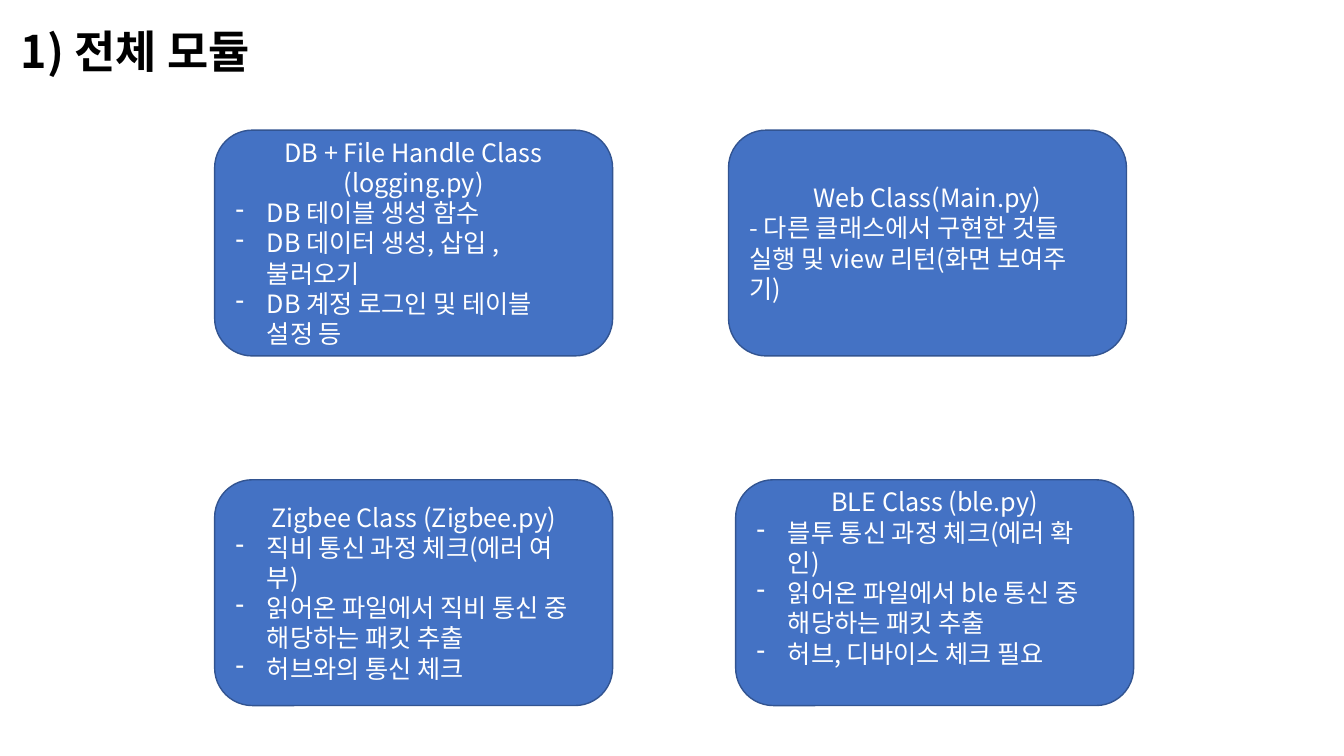
import dataclasses

import pptx
import pptx.dml.color
import pptx.enum.shapes
import pptx.enum.text
import pptx.oxml.ns
import pptx.util
from lxml import etree

Cm, Pt = pptx.util.Cm, pptx.util.Pt
RGB = pptx.dml.color.RGBColor
ALIGN = pptx.enum.text.PP_ALIGN
ANCHOR = pptx.enum.text.MSO_ANCHOR
qn = pptx.oxml.ns.qn


@dataclasses.dataclass(frozen=True)
class Theme:
    font: str = "Noto Sans CJK KR"
    fill: RGB = RGB(0x44, 0x72, 0xC4)
    line: RGB = RGB(0x32, 0x54, 0x91)
    light: RGB = RGB(0xFF, 0xFF, 0xFF)
    dark: RGB = RGB(0, 0, 0)
    title_size: float = 32
    body_size: float = 18
    leading: float = 1.2


@dataclasses.dataclass(frozen=True)
class Module:
    left: float
    top: float
    heading: list[str]
    items: list[str]
    bulleted: bool = True
    raise_by: float = 0  # extra bottom inset, cm


THEME = Theme()
BOX_W, BOX_H = 10.03, 5.69
LEFT, TOP, BOTTOM = 5.41, 3.28, 12.09
INSET, SIDE_GAP, HANG = 0.25, 0.25, 0.79

MODULES = [
    Module(LEFT, TOP, ["DB + File Handle Class", "(logging.py)"],
           ["DB 테이블 생성 함수", "DB 데이터 생성, 삽입 , 불러오기",
            "DB 계정 로그인 및 테이블 설정 등"]),
    Module(LEFT, BOTTOM, ["Zigbee Class (Zigbee.py)"],
           ["직비 통신 과정 체크(에러 여부)",
            "읽어온 파일에서 직비 통신 중 해당하는 패킷 추출",
            "허브와의 통신 체크"]),
    Module(18.54, BOTTOM, ["BLE Class (ble.py)"],
           ["블투 통신 과정 체크(에러 확인)",
            "읽어온 파일에서 ble 통신 중 해당하는 패킷 추출",
            "허브, 디바이스 체크 필요"], raise_by=0.76),
    Module(18.36, TOP, ["Web Class(Main.py)"],
           ["- 다른 클래스에서 구현한 것들 실행 및 view 리턴(화면 보여주기)"],
           bulleted=False),
]


def add_line(tf, index: int, text: str, size: float, color: RGB,
             align=ALIGN.LEFT, bold: bool = False):
    """Write one paragraph with a single run."""
    p = tf.paragraphs[0] if index == 0 else tf.add_paragraph()
    p.alignment = align
    p.line_spacing = Pt(size * THEME.leading)
    r = p.add_run()
    r.text = text
    r.font.size, r.font.bold, r.font.name = Pt(size), bold, THEME.font
    r.font.color.rgb = color
    etree.SubElement(r.font._element, qn("a:ea")).set("typeface", THEME.font)
    return p


def set_indent(p, left: float, bullet: str = "") -> None:
    pPr = p._p.get_or_add_pPr()
    pPr.set("marL", str(Cm(left)))
    if bullet:
        pPr.set("indent", str(-Cm(left)))
        etree.SubElement(pPr, qn("a:buChar")).set("char", bullet)


def add_module(s, m: Module) -> None:
    sp = s.shapes.add_shape(pptx.enum.shapes.MSO_SHAPE.ROUNDED_RECTANGLE,
                            Cm(m.left), Cm(m.top), Cm(BOX_W), Cm(BOX_H))
    sp.shadow.inherit = False
    sp.fill.solid()
    sp.fill.fore_color.rgb = THEME.fill
    sp.line.color.rgb = THEME.line
    sp.line.width = Pt(1)
    tf = sp.text_frame
    tf.word_wrap = True
    tf.vertical_anchor = ANCHOR.MIDDLE
    tf.margin_right = Cm(INSET + SIDE_GAP)
    tf.margin_bottom = Cm(0.13 + m.raise_by)
    for i, text in enumerate(m.heading):
        p = add_line(tf, i, text, THEME.body_size, THEME.light, ALIGN.CENTER)
        set_indent(p, SIDE_GAP)  # balances the wider right inset
    for i, text in enumerate(m.items, len(m.heading)):
        p = add_line(tf, i, text, THEME.body_size, THEME.light)
        if m.bulleted:
            set_indent(p, HANG, "-")


def add_title(s, text: str) -> None:
    sp = s.shapes.add_textbox(Cm(0.28), Cm(0.48), Cm(6.93), Cm(1.63))
    tf = sp.text_frame
    tf.word_wrap = True
    add_line(tf, 0, text, THEME.title_size, THEME.dark, bold=True)


prs = pptx.Presentation()
prs.slide_width, prs.slide_height = Cm(33.87), Cm(19.05)
s = prs.slides.add_slide(prs.slide_layouts[6])

# Module boxes
for module in MODULES:
    add_module(s, module)

# Title
add_title(s, "1) 전체 모듈")

prs.save("out.pptx")
